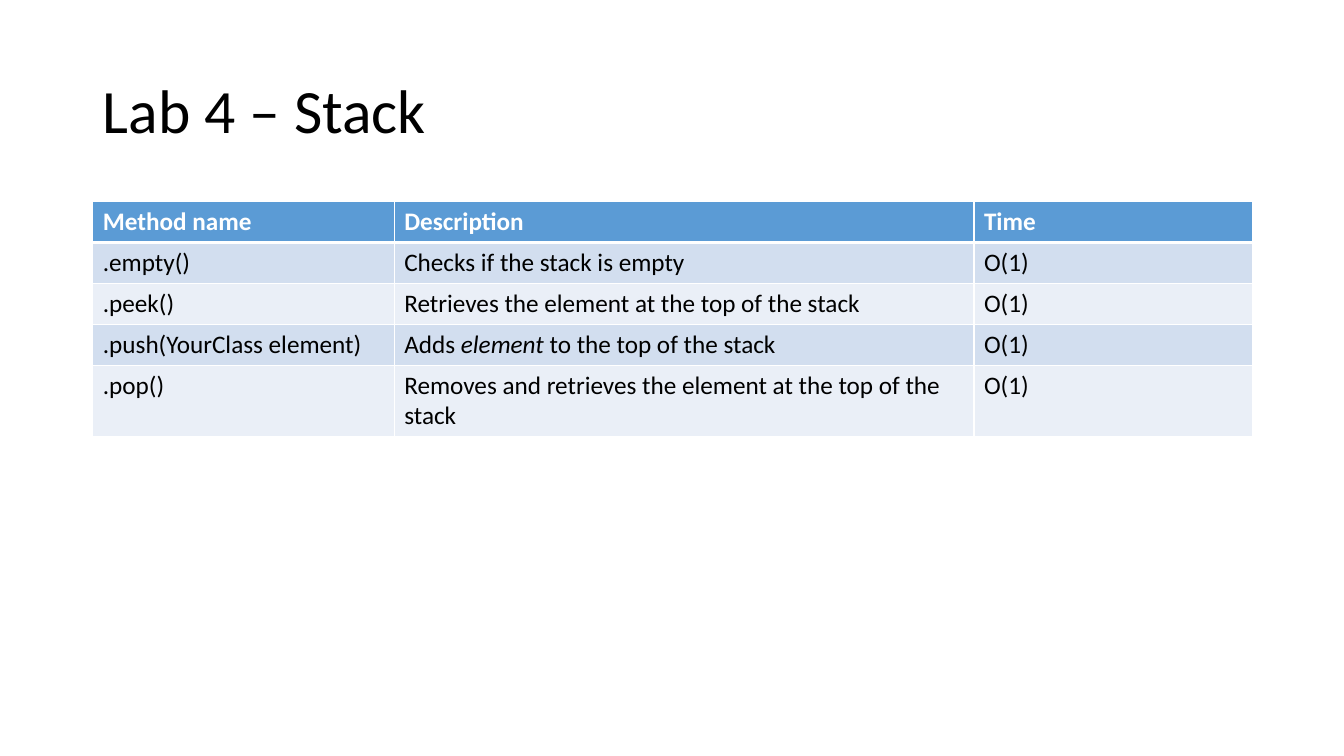
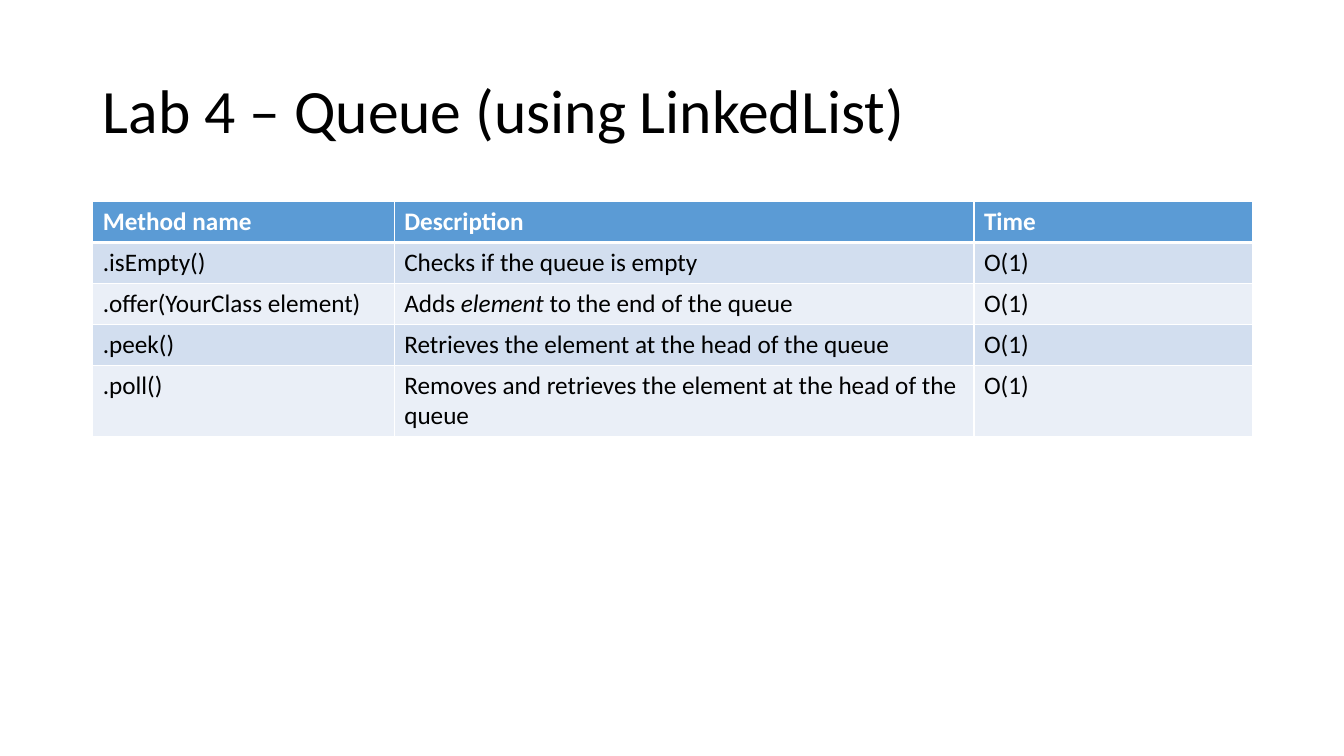
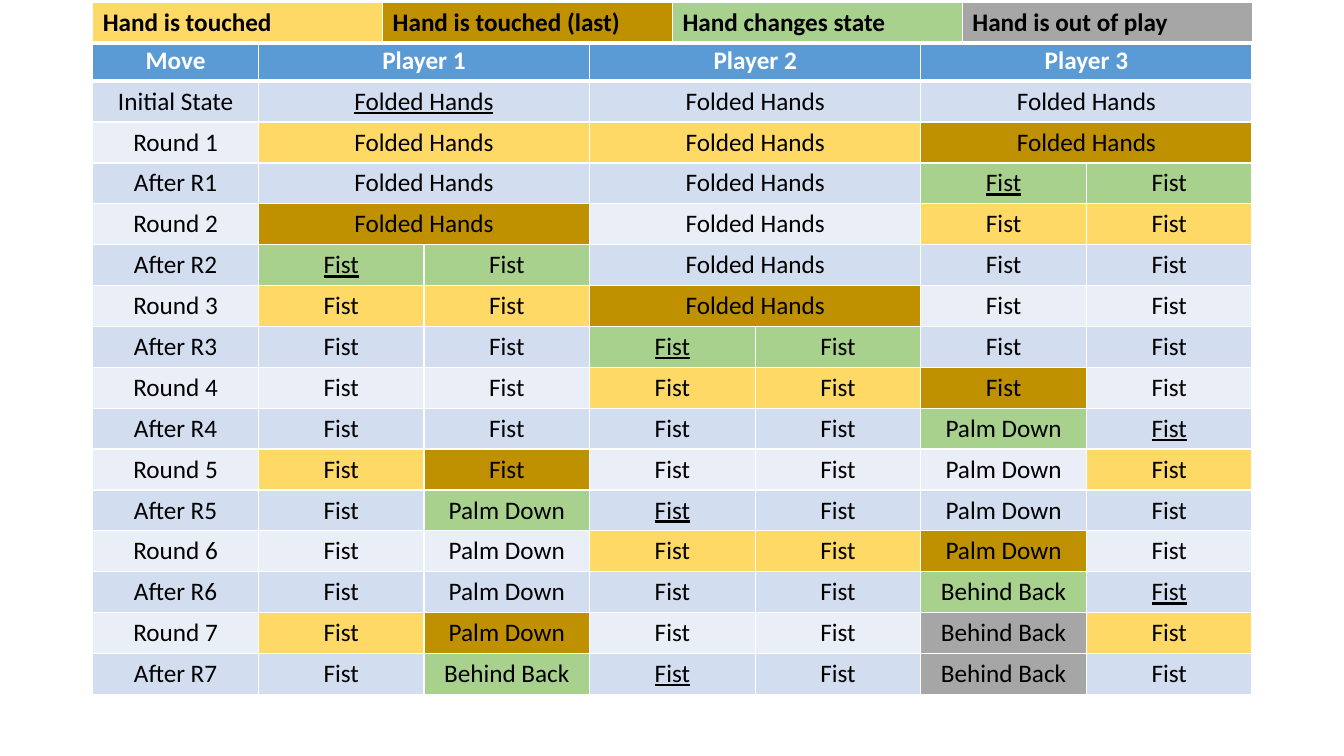
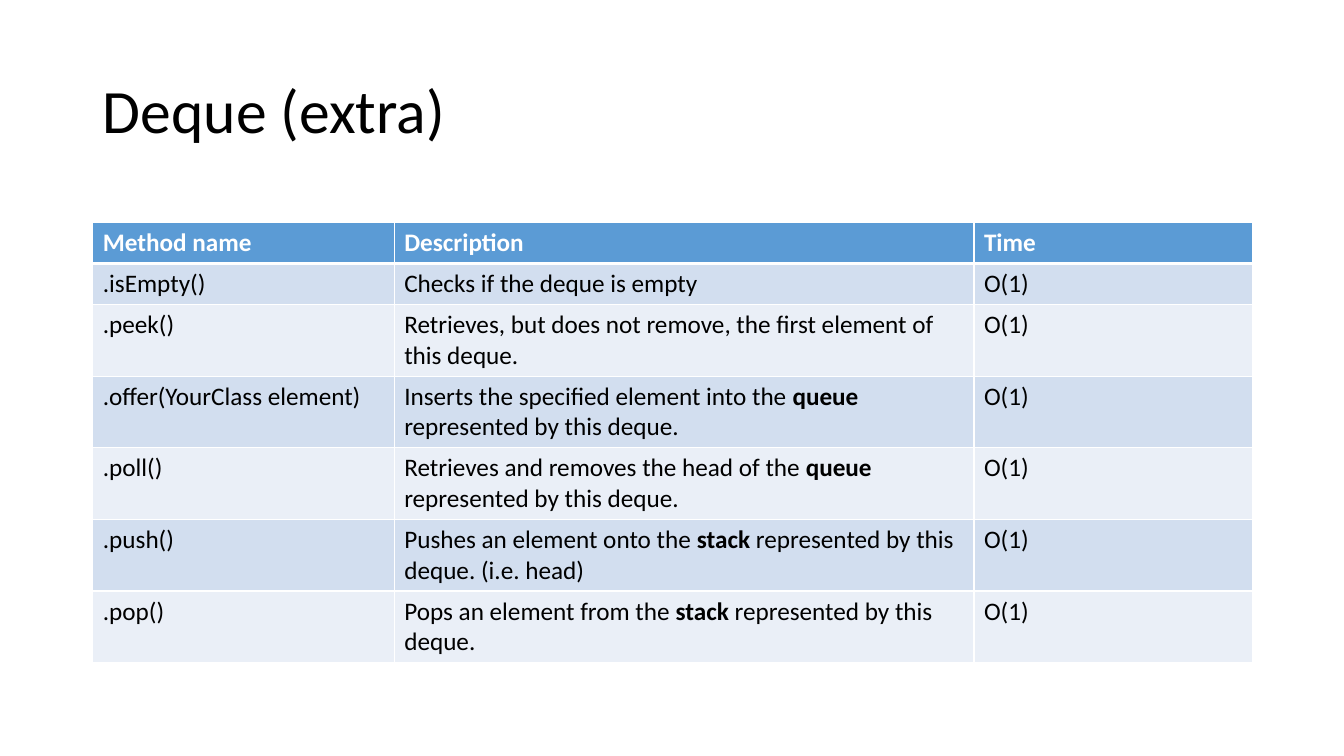
from dataclasses import dataclass
from typing import NamedTuple, Sequence

from pptx import Presentation
from pptx.dml.color import RGBColor
from pptx.enum.text import MSO_ANCHOR as Anchor, PP_ALIGN as Align
from pptx.oxml import parse_xml
from pptx.oxml.ns import nsdecls
from pptx.util import Inches, Pt


@dataclass(frozen=True)
class Theme:
    font: str = "Calibri"
    title_size: int = 44
    table_size: int = 18
    ink: str = "000000"
    paper: str = "FFFFFF"
    header: str = "5B9BD5"
    bands: tuple[str, str] = ("D2DEEF", "EAEFF7")
    touched: str = "FFD966"
    touched_last: str = "BF9000"
    changed: str = "A9D18E"
    out_of_play: str = "A6A6A6"
    thin_border: int = 1
    thick_border: int = 3


THEME = Theme()
SLIDE_WIDTH, SLIDE_HEIGHT = Inches(13.33), Inches(7.5)
LEFT, CONTENT_WIDTH = Inches(0.92), Inches(11.5)
TITLE_TOP, TITLE_HEIGHT = Inches(0.4), Inches(1.45)
ROW_HEIGHT = Pt(29.2)
TITLE_ONLY, BLANK = 5, 6


class Run(NamedTuple):
    text: str
    bold: bool = False
    italic: bool = False
    underline: bool = False


@dataclass(frozen=True)
class Cell:
    runs: tuple[Run, ...]
    fill: str | None = None
    span: int = 1
    colour: str = THEME.ink
    bold: bool = False


class Method(NamedTuple):
    call: str
    description: tuple[Run, ...]
    time: str = "O(1)"


class MethodSlide(NamedTuple):
    title: str
    table_top: float
    methods: tuple[Method, ...]


def method(call: str, before: str, stressed: Run | None = None, after: str = "") -> Method:
    runs = (Run(before), stressed, Run(after)) if stressed else (Run(before),)
    return Method(call, runs)


ELEMENT = Run("element", italic=True)
QUEUE = Run("queue", bold=True)
STACK = Run("stack", bold=True)

STACK_SLIDE = MethodSlide("Lab 4 – Stack", 2, (
    method(".empty()", "Checks if the stack is empty"),
    method(".peek()", "Retrieves the element at the top of the stack"),
    method(".push(YourClass element)", "Adds ", ELEMENT, " to the top of the stack"),
    method(".pop()", "Removes and retrieves the element at the top of the stack"),
))
QUEUE_SLIDE = MethodSlide("Lab 4 – Queue (using LinkedList)", 2, (
    method(".isEmpty()", "Checks if the queue is empty"),
    method(".offer(YourClass element)", "Adds ", ELEMENT, " to the end of the queue"),
    method(".peek()", "Retrieves the element at the head of the queue"),
    method(".poll()", "Removes and retrieves the element at the head of the queue"),
))
DEQUE_SLIDE = MethodSlide("Deque (extra)", 2.21, (
    method(".isEmpty()", "Checks if the deque is empty"),
    method(".peek()", "Retrieves, but does not remove, the first element of this deque."),
    method(".offer(YourClass element)", "Inserts the specified element into the ", QUEUE,
           " represented by this deque."),
    method(".poll()", "Retrieves and removes the head of the ", QUEUE,
           " represented by this deque."),
    method(".push()", "Pushes an element onto the ", STACK,
           " represented by this deque. (i.e. head)"),
    method(".pop()", "Pops an element from the ", STACK, " represented by this deque."),
))
METHOD_HEADINGS = ("Method name", "Description", "Time")
METHOD_SHARES = (0.26, 0.5, 0.24)

POSES = {"H": "Folded Hands", "F": "Fist", "P": "Palm Down", "B": "Behind Back"}
MARKS = {"t": THEME.touched, "l": THEME.touched_last,
         "c": THEME.changed, "o": THEME.out_of_play}
TURN = "_"
LEGEND = {
    "Hand is touched": THEME.touched,
    "Hand is touched (last)": THEME.touched_last,
    "Hand changes state": THEME.changed,
    "Hand is out of play": THEME.out_of_play,
}
PLAYERS = ("Player 1", "Player 2", "Player 3")
HANDS_PER_PLAYER = 2
MOVES = {
    "Initial State": "H_ H H",
    "Round 1": "Ht Ht Hl",
    "After R1": "H H Fc_ Fc",
    "Round 2": "Hl H Ft Ft",
    "After R2": "Fc_ Fc H F F",
    "Round 3": "Ft Ft Hl F F",
    "After R3": "F F Fc_ Fc F F",
    "Round 4": "F F Ft Ft Fl F",
    "After R4": "F F F F Pc F_",
    "Round 5": "Ft Fl F F P Ft",
    "After R5": "F Pc F_ F P F",
    "Round 6": "F P Ft Ft Pl F",
    "After R6": "F P F F Bc F_",
    "Round 7": "Ft Pl F F Bo Ft",
    "After R7": "F Bc F_ F Bo F",
}


def heading(text: str, span: int = 1) -> Cell:
    return Cell((Run(text),), THEME.header, span, THEME.paper, bold=True)


def hand(code: str) -> Cell:
    pose, marks = code[0], code[1:].rstrip(TURN)
    return Cell((Run(POSES[pose], underline=code.endswith(TURN)),),
                MARKS.get(marks), HANDS_PER_PLAYER if pose == "H" else 1)


def set_borders(cell, top: int, bottom: int) -> None:
    widths = {"lnL": THEME.thin_border, "lnR": THEME.thin_border, "lnT": top, "lnB": bottom}
    properties = cell._tc.get_or_add_tcPr()
    for position, (side, width) in enumerate(widths.items()):
        properties.insert(position, parse_xml(
            f'<a:{side} {nsdecls("a")} w="{Pt(width)}"><a:solidFill>'
            f'<a:srgbClr val="{THEME.paper}"/></a:solidFill></a:{side}>'))


def set_font(font, size: int, colour: str, bold: bool = False) -> None:
    font.name, font.size, font.bold = THEME.font, Pt(size), bold
    font.color.rgb = RGBColor.from_string(colour)


def write_cell(target, content: Cell, align: Align) -> None:
    paragraph = target.text_frame.paragraphs[0]
    paragraph.alignment = align
    set_font(paragraph.font, THEME.table_size, content.colour, content.bold)
    for part in content.runs:
        run = paragraph.add_run()
        run.text = part.text
        for style in ("bold", "italic", "underline"):
            if getattr(part, style):
                setattr(run.font, style, True)


def draw_table(slide, top: int, shares: Sequence[float], rows: Sequence[Sequence[Cell]],
               align: Align = Align.LEFT, has_header: bool = True) -> None:
    table = slide.shapes.add_table(len(rows), len(shares), LEFT, top, CONTENT_WIDTH,
                                   ROW_HEIGHT * len(rows)).table
    table.first_row, table.horz_banding = has_header, False
    for column, share in zip(table.columns, shares):
        column.width = int(CONTENT_WIDTH * share)
    for index, row in enumerate(rows):
        above = THEME.thick_border if index == 1 else THEME.thin_border
        below = THEME.thick_border if index == 0 else THEME.thin_border
        column = 0
        for content in row:
            covered = [table.cell(index, column + step) for step in range(content.span)]
            for cell in covered:
                cell.fill.solid()
                cell.fill.fore_color.rgb = RGBColor.from_string(
                    content.fill or THEME.bands[(index - 1) % 2])
                set_borders(cell, above, below)
            if content.span > 1:
                covered[0].merge(covered[-1])
            write_cell(covered[0], content, align)
            column += content.span


def draw_title(slide, text: str) -> None:
    title = slide.shapes.title
    title.left, title.top = LEFT, TITLE_TOP
    title.width, title.height = CONTENT_WIDTH, TITLE_HEIGHT
    title.text_frame.text = text
    title.text_frame.vertical_anchor = Anchor.MIDDLE
    paragraph = title.text_frame.paragraphs[0]
    paragraph.alignment, paragraph.line_spacing = Align.LEFT, 0.9
    set_font(paragraph.font, THEME.title_size, THEME.ink)


def add_method_slide(deck, content: MethodSlide) -> None:
    slide = deck.slides.add_slide(deck.slide_layouts[TITLE_ONLY])
    draw_title(slide, content.title)
    rows = [[heading(text) for text in METHOD_HEADINGS]]
    rows += [[Cell((Run(entry.call),)), Cell(entry.description), Cell((Run(entry.time),))]
             for entry in content.methods]
    draw_table(slide, Inches(content.table_top), METHOD_SHARES, rows)


def add_game_slide(deck) -> None:
    slide = deck.slides.add_slide(deck.slide_layouts[BLANK])
    column_count = 1 + len(PLAYERS) * HANDS_PER_PLAYER
    rows = [[heading("Move"), *(heading(player, HANDS_PER_PLAYER) for player in PLAYERS)]]
    rows += [[Cell((Run(move),)), *map(hand, hands.split())] for move, hands in MOVES.items()]
    draw_table(slide, Inches(0.4), [1 / column_count] * column_count, rows, Align.CENTER)
    legend = [Cell((Run(text),), fill, bold=True) for text, fill in LEGEND.items()]
    draw_table(slide, Inches(0.02), [1 / len(legend)] * len(legend), [legend],
               has_header=False)


def main() -> None:
    deck = Presentation()
    deck.slide_width, deck.slide_height = SLIDE_WIDTH, SLIDE_HEIGHT
    add_method_slide(deck, STACK_SLIDE)
    add_method_slide(deck, QUEUE_SLIDE)
    add_game_slide(deck)
    add_method_slide(deck, DEQUE_SLIDE)
    deck.save("out.pptx")


if __name__ == "__main__":
    main()
